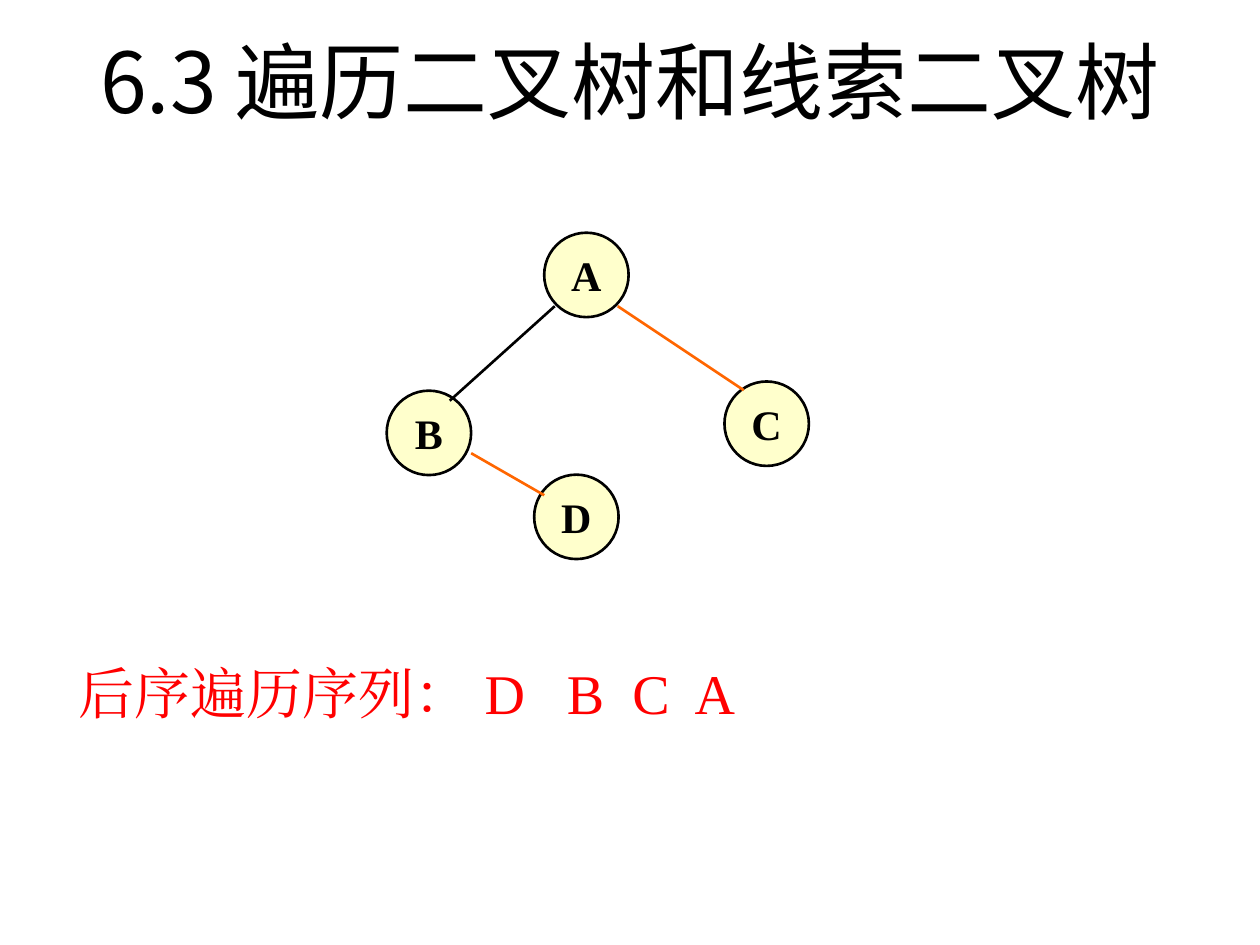
from lxml.etree import SubElement
from pptx import Presentation
from pptx.dml.color import RGBColor
from pptx.enum.shapes import MSO_CONNECTOR, MSO_SHAPE
from pptx.enum.text import MSO_ANCHOR as Anchor, PP_ALIGN as Align
from pptx.oxml.ns import qn
from pptx.util import Pt

SANS, SERIF = "Noto Sans CJK SC", "Times New Roman"
BLACK, ORANGE, RED, CREAM = "000000", "FF6600", "FF0000", "FFFFCC"

TITLE = "6.3 遍历二叉树和线索二叉树"
SEQUENCE = "后序遍历序列： D   B  C  A"
DIAMETER = 48.25
LINE_WIDTH = 1.5
NODES = {  # left, top
    "A": (311, 133),
    "D": (305.25, 271.25),
    "B": (221, 223.25),
    "C": (414, 218),
}
EDGES = [  # start, end, colour
    ((317, 175), (257, 229), BLACK),
    ((353, 175), (425, 223), ORANGE),
    ((269.25, 259), (311, 283), ORANGE),
]


def color(value):
    return RGBColor.from_string(value)


def write(shape, text, font_name, size, text_color, bold=False,
          align=Align.CENTER, anchor=Anchor.MIDDLE, wrap=False):
    frame = shape.text_frame
    frame.word_wrap = wrap
    frame.vertical_anchor = anchor
    paragraph = frame.paragraphs[0]
    paragraph.alignment = align
    run = paragraph.add_run()
    run.text = text
    font = run.font
    font.name, font.size, font.bold = font_name, Pt(size), bold
    font.color.rgb = color(text_color)
    east_asian = SubElement(run._r.get_or_add_rPr(), qn("a:ea"))
    east_asian.set("typeface", font_name)


def add_node(slide, label, left, top):
    node = slide.shapes.add_shape(
        MSO_SHAPE.OVAL, Pt(left), Pt(top), Pt(DIAMETER), Pt(DIAMETER))
    node.shadow.inherit = False
    node.fill.solid()
    node.fill.fore_color.rgb = color(CREAM)
    node.line.color.rgb = color(BLACK)
    node.line.width = Pt(LINE_WIDTH)
    write(node, label, SERIF, 24, BLACK, bold=True)


def add_edge(slide, start, end, line_color):
    edge = slide.shapes.add_connector(
        MSO_CONNECTOR.STRAIGHT, *(Pt(value) for value in start + end))
    edge.line.color.rgb = color(line_color)
    edge.line.width = Pt(LINE_WIDTH)
    SubElement(edge._element.spPr, qn("a:effectLst"))


def main():
    presentation = Presentation()
    presentation.slide_width, presentation.slide_height = Pt(720), Pt(540)
    slide = presentation.slides.add_slide(presentation.slide_layouts[6])

    title = slide.shapes.add_textbox(Pt(36), Pt(9.5), Pt(648), Pt(68.5))
    write(title, TITLE, SANS, 48, BLACK, anchor=Anchor.BOTTOM, wrap=True)
    for label, (left, top) in NODES.items():
        add_node(slide, label, left, top)
    for start, end, line_color in EDGES:
        add_edge(slide, start, end, line_color)
    sequence = slide.shapes.add_textbox(Pt(37.5), Pt(372.25), Pt(398), Pt(46))
    write(sequence, SEQUENCE, SERIF, 32, RED, align=Align.LEFT)

    presentation.save("out.pptx")


if __name__ == "__main__":
    main()
